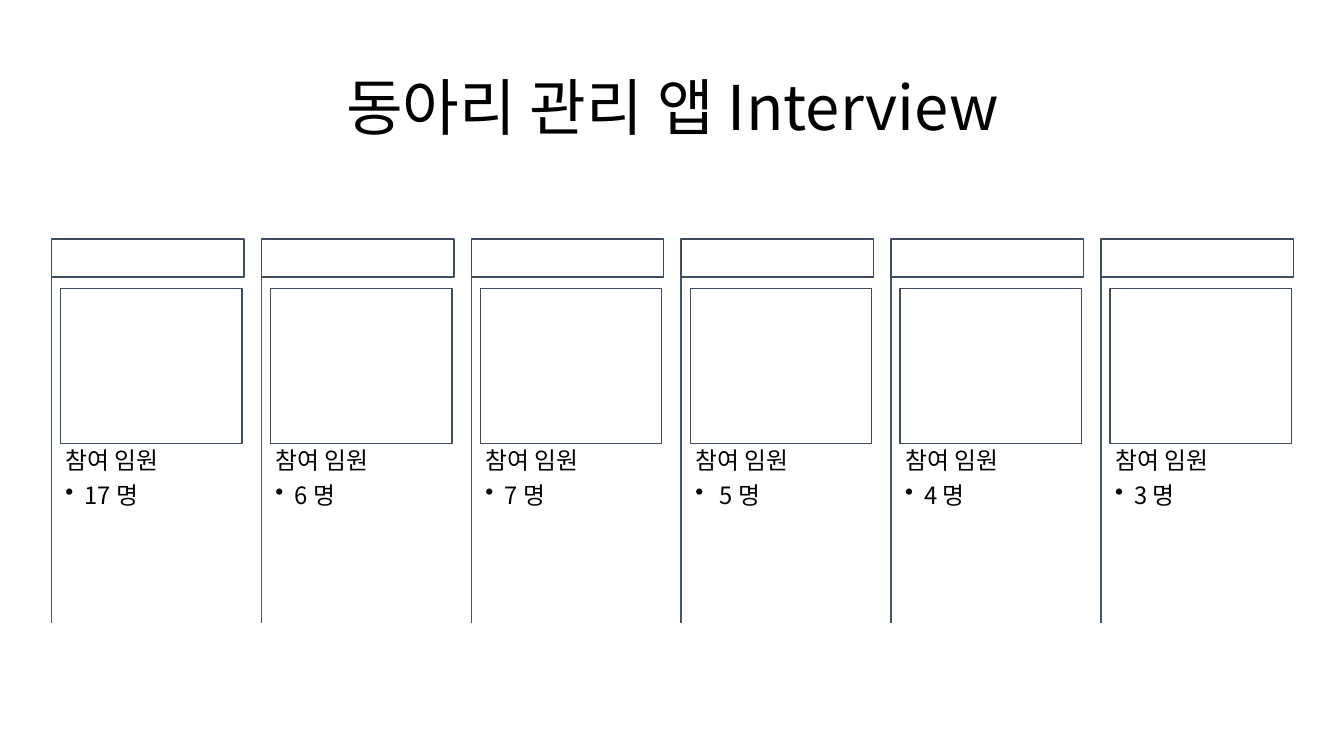
from pptx import Presentation
from pptx.dml.color import RGBColor
from pptx.enum.shapes import MSO_CONNECTOR, MSO_SHAPE
from pptx.enum.text import MSO_ANCHOR, PP_ALIGN
from pptx.oxml.ns import qn
from pptx.util import Inches, Pt
from lxml.etree import SubElement

TITLE = "동아리 관리 앱 Interview"
LABEL = "참여 임원"
COUNTS = ["17 명", "6 명", "7 명", " 5 명", "4 명", "3 명"]

FONT = "Noto Sans CJK KR"
BLACK, WHITE, EDGE, RAIL = "000000", "FFFFFF", "3E4C60", "44546A"

FIRST_LEFT, LAST_LEFT = 0.51, 10.92
PITCH = (LAST_LEFT - FIRST_LEFT) / (len(COUNTS) - 1)
HEADER_TOP, HEADER_WIDTH, HEADER_HEIGHT = 2.37, 1.91, 0.38
INDENT, BODY_WIDTH = 0.09, 1.8
CARD_TOP, CARD_HEIGHT = 2.86, 1.54
TEXT_TOP, BOTTOM = 4.41, 6.18
BULLET_INDENT = 0.19


def color(value):
    return RGBColor.from_string(value)


def set_all(target, values):
    for name, value in values.items():
        setattr(target, name, value)


def inches(*lengths):
    return [Inches(length) for length in lengths]


def write(para, text, size, **layout):
    span = para.add_run()
    span.text = text
    set_all(span.font, {"name": FONT, "size": Pt(size)})
    span.font.color.rgb = color(BLACK)
    SubElement(span.font._element, qn("a:ea"), typeface=FONT)
    set_all(para, {"line_spacing": 0.9, "space_before": Pt(0), **layout})


def add_bullet(para):
    properties = para._p.get_or_add_pPr()
    properties.set("marL", str(Inches(BULLET_INDENT)))
    properties.set("indent", str(-Inches(BULLET_INDENT)))
    SubElement(properties, qn("a:buChar"), char="•")


def add_frame(slide, *bounds):
    frame = slide.shapes.add_shape(MSO_SHAPE.RECTANGLE, *inches(*bounds))
    frame.shadow.inherit = False
    frame.fill.solid()
    frame.fill.fore_color.rgb = color(WHITE)
    frame.line.color.rgb = color(EDGE)
    frame.line.width = Pt(1)


def add_rail(slide, left):
    rail = slide.shapes.add_connector(
        MSO_CONNECTOR.STRAIGHT,
        *inches(left, HEADER_TOP + HEADER_HEIGHT, left, BOTTOM))
    rail.line.color.rgb = color(RAIL)
    rail.line.width = Pt(1)
    SubElement(rail._element.spPr, qn("a:effectLst"))


def add_count(slide, left, count):
    box = slide.shapes.add_textbox(
        *inches(left, TEXT_TOP, BODY_WIDTH, BOTTOM - TEXT_TOP))
    frame = box.text_frame
    margins = ("margin_left", "margin_top", "margin_right", "margin_bottom")
    set_all(frame, {"word_wrap": True, **dict.fromkeys(margins, Inches(0.05))})
    write(frame.paragraphs[0], LABEL, 17, space_after=Pt(6))
    item = frame.add_paragraph()
    write(item, count, 17, level=1, space_after=Pt(2.5))
    add_bullet(item)


def add_column(slide, left, count):
    add_rail(slide, left)
    add_frame(slide, left + INDENT, CARD_TOP, BODY_WIDTH, CARD_HEIGHT)
    add_count(slide, left + INDENT, count)
    add_frame(slide, left, HEADER_TOP, HEADER_WIDTH, HEADER_HEIGHT)


def main():
    deck = Presentation()
    set_all(deck, {"slide_width": Inches(13.33), "slide_height": Inches(7.5)})
    slide = deck.slides.add_slide(deck.slide_layouts[5])

    title = slide.shapes.title
    bounds = inches(0.92, 0.37, 11.5, 1.45)
    set_all(title, dict(zip(("left", "top", "width", "height"), bounds)))
    title.text_frame.vertical_anchor = MSO_ANCHOR.MIDDLE
    write(title.text_frame.paragraphs[0], TITLE, 44, alignment=PP_ALIGN.CENTER)

    for index, count in enumerate(COUNTS):
        add_column(slide, FIRST_LEFT + index * PITCH, count)
    deck.save("out.pptx")


if __name__ == "__main__":
    main()
